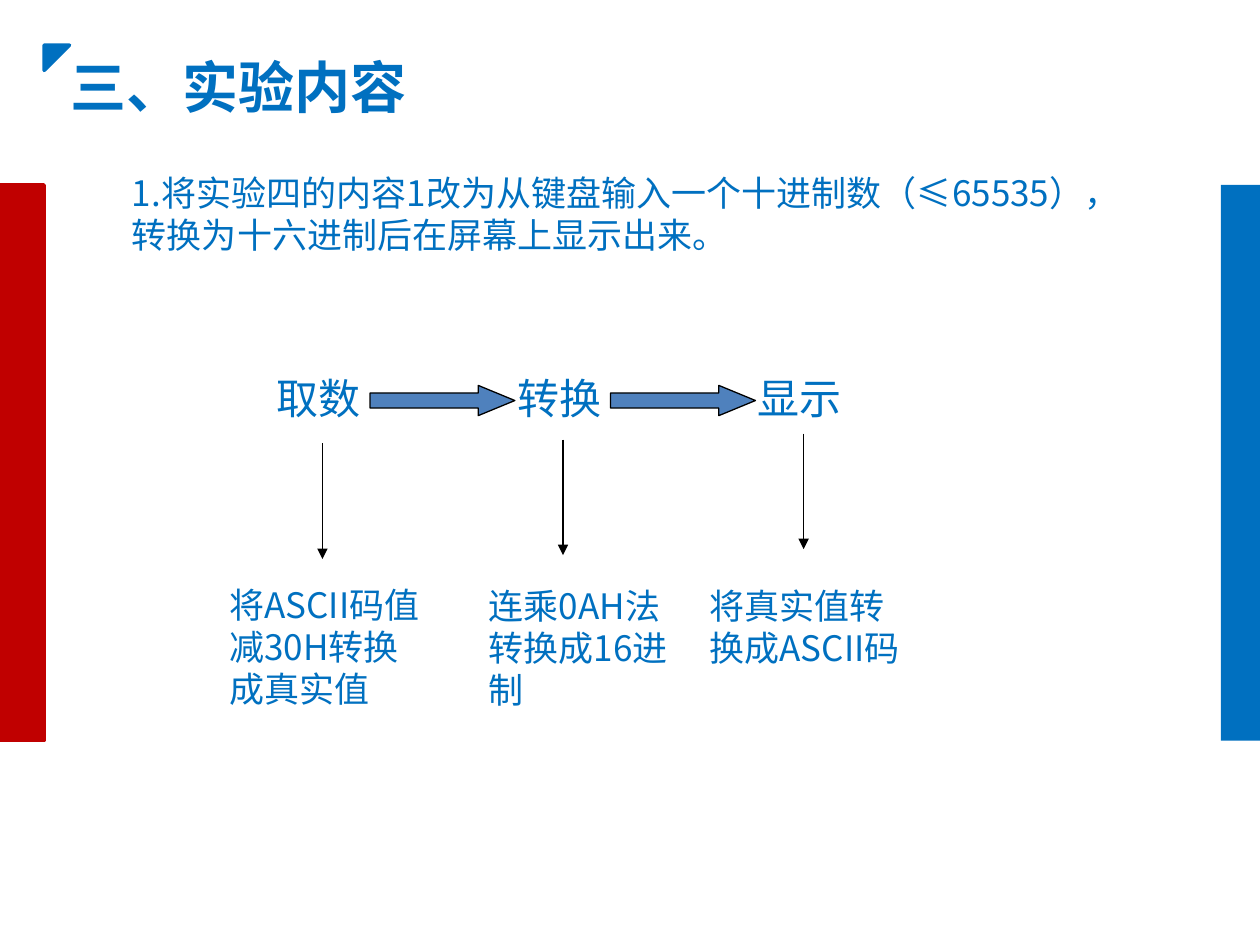
from pptx import Presentation
from pptx.dml.color import RGBColor
from pptx.enum.shapes import MSO_CONNECTOR as Link, MSO_SHAPE as Kind
from pptx.enum.text import MSO_ANCHOR as Anchor, PP_ALIGN as Align
from pptx.oxml.ns import qn
from pptx.util import Cm, Pt
from lxml.etree import SubElement

FONT = "Noto Sans CJK SC"
HUES = {"blue": "0070C0", "red": "C00000", "steel": "4F81BD", "black": "000000"}
TITLE = "三、实验内容"
TASK = "1.将实验四的内容1改为从键盘输入一个十进制数（≤65535），转换为十六进制后在屏幕上显示出来。"
STEPS = [
    {"name": "取数", "drop": 8.94, "note": ["将ASCII码值减30H转换成真实值"], "box": (4.37, 11.63, 4.47, 2.8)},
    {"name": "转换", "drop": 8.86, "note": ["连乘0AH法", "转换成16进制"], "box": (9.6, 11.66, 4.29, 3.66)},
    {"name": "显示", "drop": 8.74, "note": ["将真实值转换成ASCII码"], "box": (14.05, 11.66, 4.47, 2.8)},
]
LEFT, STEP = 5.33, 4.85
SHAPES = [
    (Kind.RECTANGLE, (0, 3.73, 0.89, 11.2), "red", 2, 0),
    (Kind.RECTANGLE, (24.61, 3.73, 0.89, 11.2), "blue", 0, 0),
    (Kind.RIGHT_TRIANGLE, (0.89, 0.91, 0.51, 0.51), "blue", 2, 90),
]


def tint(name):
    """Return the named colour."""
    return RGBColor.from_string(HUES[name])


def place(shape, box):
    """Move and size a shape in centimetres."""
    for key, val in zip(("left", "top", "width", "height"), box):
        setattr(shape, key, Cm(val))


def write(shape, lines, size, bold=False, wrap=True):
    """Fill a shape with formatted paragraphs."""
    frame = shape.text_frame
    frame.text = "\n".join(lines)
    frame.word_wrap = wrap
    frame.vertical_anchor = Anchor.TOP
    look = {"name": FONT, "size": Pt(size), "bold": bold}
    for para in frame.paragraphs:
        para.alignment = Align.LEFT
        for run in para.runs:
            for key, val in look.items():
                setattr(run.font, key, val)
            run.font.color.rgb = tint("blue")
            SubElement(run.font._element, qn("a:ea"), typeface=FONT)


def label(slide, box, lines, size):
    """Add a text box."""
    write(slide.shapes.add_textbox(*map(Cm, box)), lines, size)


def solid(slide, kind, box, fill, edge, width):
    """Add a filled shape with an optional outline."""
    shape = slide.shapes.add_shape(kind, *map(Cm, box))
    shape.shadow.inherit = False
    shape.fill.solid()
    shape.fill.fore_color.rgb = tint(fill)
    if width:
        shape.line.color.rgb = tint(edge)
        shape.line.width = Pt(width)
    else:
        shape.line.fill.background()
    return shape


def drop(slide, x, top):
    """Add a downward arrow line."""
    link = slide.shapes.add_connector(Link.STRAIGHT, Cm(x), Cm(top), Cm(x), Cm(top + 2.33))
    link.line.color.rgb = tint("black")
    link.line.width = Pt(0.75)
    SubElement(link.line._get_or_add_ln(), qn("a:tailEnd"), type="triangle")
    SubElement(link._element.spPr, qn("a:effectLst"))


def main():
    """Build the slide."""
    deck = Presentation()
    deck.slide_width, deck.slide_height = Cm(25.4), Cm(19.05)
    slide = deck.slides.add_slide(deck.slide_layouts[5])
    for kind, box, hue, width, turn in SHAPES:
        solid(slide, kind, box, hue, hue, width).rotation = turn
    title = slide.shapes.title
    place(title, (1.17, 0.94, 7.29, 1.63))
    write(title, [TITLE], 32, bold=True, wrap=False)
    label(slide, (2.41, 3.33, 20.57, 1.96), [TASK], 20)
    for i, step in enumerate(STEPS):
        x = LEFT + i * STEP
        label(slide, (x, 7.39, 2.54, 1.27), [step["name"]], 24)
        if i < len(STEPS) - 1:
            arrow = solid(slide, Kind.RIGHT_ARROW, (x + 2.13, 7.77, 2.92, 0.61), "steel", "black", 0.75)
            arrow.adjustments[1] = 1.21
        drop(slide, x + 1.17, step["drop"])
        label(slide, step["box"], step["note"], 20)
    deck.save("out.pptx")


if __name__ == "__main__":
    main()
